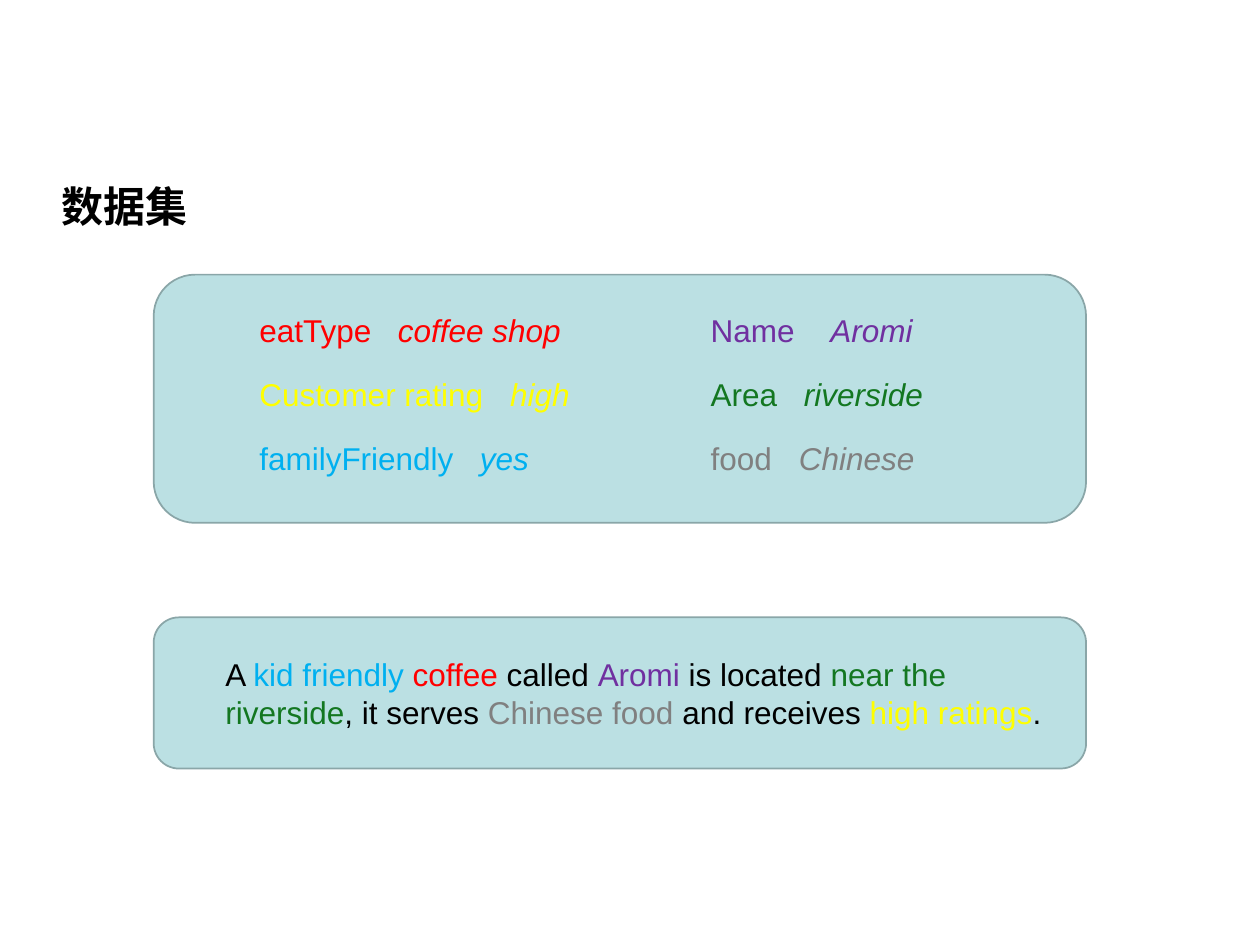
from dataclasses import dataclass

from lxml import etree
from pptx import Presentation
from pptx.dml.color import RGBColor
from pptx.enum.shapes import MSO_SHAPE
from pptx.enum.text import MSO_ANCHOR, MSO_AUTO_SIZE, PP_ALIGN
from pptx.oxml.ns import qn
from pptx.util import Inches, Pt

ROUNDED = MSO_SHAPE.ROUNDED_RECTANGLE
TOP, MIDDLE = MSO_ANCHOR.TOP, MSO_ANCHOR.MIDDLE
LEFT = PP_ALIGN.LEFT
NO_AUTOFIT = MSO_AUTO_SIZE.NONE
TITLE_ONLY = 5


@dataclass(frozen=True)
class Theme:
    font: str = "Arial"
    title_size: int = 24
    body_size: int = 18
    panel: str = "BBE0E3"
    outline: str = "8AA6A8"
    text: str = "000000"
    name: str = "7030A0"
    eat_type: str = "FF0000"
    rating: str = "FFFF00"
    area: str = "137721"
    family: str = "00B0F0"
    food: str = "808080"


THEME = Theme()

# Boxes are left, top, width, height in inches
TITLE_BOX = (0.39, 1.38, 4.84, 0.5)
ATTRIBUTE_BOX = (1.22, 2.18, 7.4, 1.97)
SENTENCE_BOX = (1.22, 4.9, 7.4, 1.2)

# Columns of attributes: name, value, colour, distance from name to value
ATTRIBUTES = [
    [("eatType", "coffee shop", THEME.eat_type, 1.1),
     ("Customer rating", "high", THEME.rating, 1.99),
     ("familyFriendly", "yes", THEME.family, 1.75)],
    [("Name", "Aromi", THEME.name, 0.95),
     ("Area", "riverside", THEME.area, 0.74),
     ("food", "Chinese", THEME.food, 0.7)],
]
SENTENCE = [
    ("A ", THEME.text), ("kid friendly ", THEME.family),
    ("coffee", THEME.eat_type), (" called ", THEME.text),
    ("Aromi", THEME.name), (" is located ", THEME.text),
    ("near the riverside", THEME.area), (", it serves ", THEME.text),
    ("Chinese food ", THEME.food), ("and receives ", THEME.text),
    ("high ratings", THEME.rating), (".", THEME.text),
]


def color(value):
    return RGBColor.from_string(value)


def style(para, size, tint=None):
    para.font.name = THEME.font
    para.font.size = Pt(size)
    if tint:
        para.font.color.rgb = color(tint)


def add_panel(page, box):
    panel = page.shapes.add_shape(ROUNDED, *map(Inches, box))
    panel.shadow.inherit = False
    panel.fill.solid()
    panel.fill.fore_color.rgb = color(THEME.panel)
    panel.line.color.rgb = color(THEME.outline)
    panel.line.width = Pt(1)


def add_text_box(page, box, anchor=TOP):
    frame = page.shapes.add_textbox(*map(Inches, box)).text_frame
    frame.word_wrap = True
    frame.vertical_anchor = anchor
    return frame.paragraphs[0]


def add_tab_stop(para, distance):
    tabs = etree.SubElement(para._p.get_or_add_pPr(), qn("a:tabLst"))
    etree.SubElement(tabs, qn("a:tab"), pos=str(Inches(distance)), algn="l")


def place_title(page, box):
    title = page.shapes.title
    title.left, title.top, title.width, title.height = map(Inches, box)
    frame = title.text_frame
    frame.text = "数据集"
    frame.auto_size = NO_AUTOFIT
    frame.vertical_anchor = TOP
    para = frame.paragraphs[0]
    para.alignment = LEFT
    style(para, THEME.title_size, THEME.text)
    para.font.bold = True


def place_attributes(page, box):
    add_panel(page, box)
    left, top, width, height = box
    column_starts = (0.1, 0.584)  # shares of the panel width
    row_height = 0.257 * height
    for start, column in zip(column_starts, ATTRIBUTES):
        for row, (name, value, tint, distance) in enumerate(column):
            para = add_text_box(page, (left + start * width,
                                       top + 0.24 + row * row_height,
                                       0.4 * width, 0.4))
            add_tab_stop(para, distance)
            style(para, THEME.body_size, tint)
            para.add_run().text = f"{name}\t"
            span = para.add_run()
            span.text = value
            span.font.italic = True


def place_sentence(page, box):
    add_panel(page, box)
    left, top, width, height = box
    para = add_text_box(page, (left + 0.47, top + 0.2 * height,
                               width - 0.62, 0.6 * height), MIDDLE)
    style(para, THEME.body_size)
    for words, tint in SENTENCE:
        span = para.add_run()
        span.text = words
        span.font.color.rgb = color(tint)


def main():
    deck = Presentation()
    deck.slide_width, deck.slide_height = Inches(10), Inches(7.5)
    page = deck.slides.add_slide(deck.slide_layouts[TITLE_ONLY])
    place_title(page, TITLE_BOX)
    place_attributes(page, ATTRIBUTE_BOX)
    place_sentence(page, SENTENCE_BOX)
    deck.save("out.pptx")


if __name__ == "__main__":
    main()
